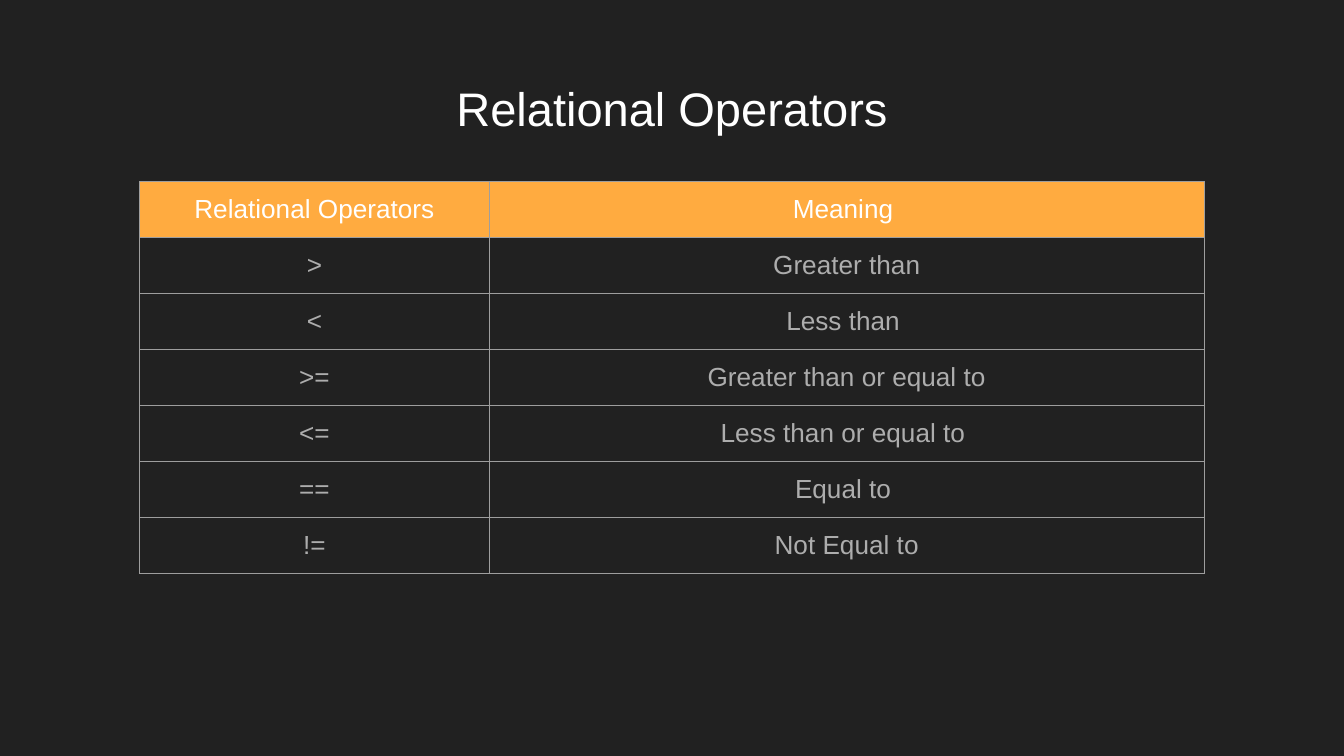
import pptx
import pptx.dml.color
import pptx.enum.text
import pptx.oxml.ns
import pptx.util
import lxml.etree

Inches = pptx.util.Inches
RGBColor = pptx.dml.color.RGBColor
ANCHOR = pptx.enum.text.MSO_ANCHOR

DARK = RGBColor(0x21, 0x21, 0x21)
WHITE = RGBColor(0xFF, 0xFF, 0xFF)
ORANGE = RGBColor(0xFF, 0xAB, 0x40)
SILVER = RGBColor(0xAD, 0xAD, 0xAD)
GRAY = RGBColor(0x9E, 0x9E, 0x9E)

TITLE = "Relational Operators"
ROWS = [
    ("Relational Operators", "Meaning "),
    (">", "Greater than"),
    ("<", "Less than "),
    (">=", "Greater than or equal to"),
    ("<=", "Less than or equal to "),
    ("==", "Equal to "),
    ("!=", "Not Equal to"),
]
WIDTHS = (2.6, 5.32)
HEIGHT = 2.92


def add_text(frame, text, size, color):
    para = frame.paragraphs[0]
    para.alignment = pptx.enum.text.PP_ALIGN.CENTER
    run = para.add_run()
    run.text = text
    run.font.name = "Arial"
    run.font.size = pptx.util.Pt(size)
    run.font.color.rgb = color


def set_inset(item, edge, anchor):
    item.margin_left = item.margin_right = Inches(0.1)
    item.margin_top = item.margin_bottom = Inches(edge)
    item.vertical_anchor = anchor


def add_title(slide):
    box = slide.shapes.add_textbox(
        Inches(0.34), Inches(0.49), Inches(9.32), Inches(0.63))
    frame = box.text_frame
    frame.word_wrap = True
    set_inset(frame, 0.1, ANCHOR.TOP)
    add_text(frame, TITLE, 25.2, WHITE)


def add_border(cell):
    qn = pptx.oxml.ns.qn
    props = cell._tc.get_or_add_tcPr()
    for side in ("L", "R", "T", "B"):
        line = lxml.etree.SubElement(
            props, qn(f"a:ln{side}"), w=str(pptx.util.Pt(0.75)))
        fill = lxml.etree.SubElement(line, qn("a:solidFill"))
        lxml.etree.SubElement(fill, qn("a:srgbClr"), val=str(GRAY))


def fill_cell(cell, text, header):
    set_inset(cell, 0.09, ANCHOR.MIDDLE)
    add_border(cell)
    if header:
        cell.fill.solid()
        cell.fill.fore_color.rgb = ORANGE
    else:
        cell.fill.background()
    add_text(cell.text_frame, text, 14, WHITE if header else SILVER)


def add_grid(slide):
    table = slide.shapes.add_table(
        len(ROWS), len(WIDTHS), Inches(1.04), Inches(1.35),
        Inches(sum(WIDTHS)), Inches(HEIGHT)).table
    table.first_row = False
    table.horz_banding = False
    for column, width in zip(table.columns, WIDTHS):
        column.width = Inches(width)
    for r, texts in enumerate(ROWS):
        table.rows[r].height = Inches(HEIGHT / len(ROWS))
        for c, text in enumerate(texts):
            fill_cell(table.cell(r, c), text, r == 0)


def main():
    deck = pptx.Presentation()
    deck.slide_width = Inches(10)
    deck.slide_height = Inches(10 * 9 / 16)
    slide = deck.slides.add_slide(deck.slide_layouts[6])
    slide.background.fill.solid()
    slide.background.fill.fore_color.rgb = DARK
    add_title(slide)
    add_grid(slide)
    deck.save("out.pptx")


if __name__ == "__main__":
    main()
